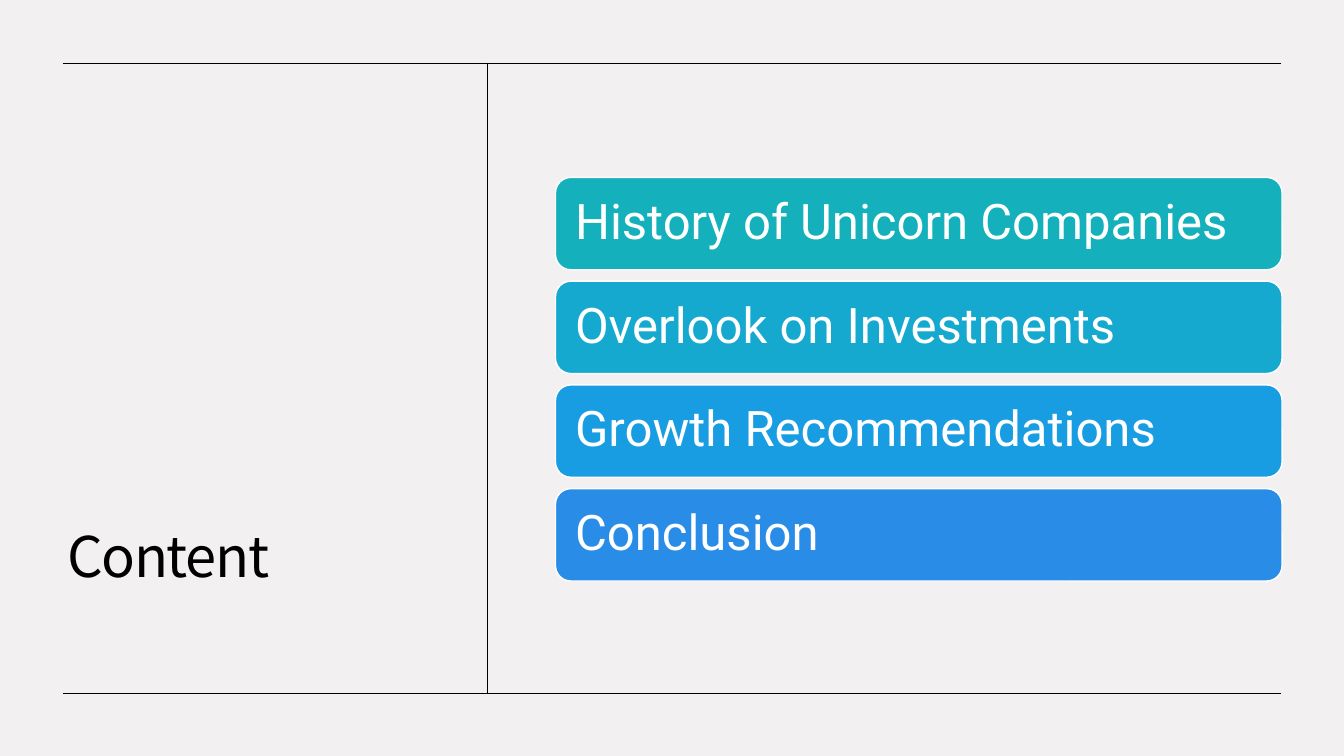
from lxml import etree
from pptx import Presentation
from pptx.dml.color import RGBColor
from pptx.enum.shapes import MSO_CONNECTOR, MSO_SHAPE
from pptx.enum.text import MSO_ANCHOR, PP_ALIGN
from pptx.oxml.ns import qn
from pptx.util import Inches, Pt

COLORS = {
    "background": "F3F0F1", "ink": "000000", "white": "FFFFFF",
    "teal": "14B1BC", "cyan": "16A9CF", "sky": "199DE2", "blue": "298CE7",
}
COLUMNS, ROWS = 64, 36


def color(name):
    return RGBColor.from_string(COLORS[name])


class AgendaSlide:
    """Holds the style and the slide; lengths are grid columns and rows."""

    frame_format = {"word_wrap": True, "margin_top": Inches(0.05),
                    "margin_bottom": Inches(0.05)}
    title_font = {"name": "Noto Sans CJK KR", "size": Pt(40)}
    topic_font = {"name": "Roboto", "size": Pt(35)}

    def __init__(self, deck):
        self.column = deck.slide_width / COLUMNS
        self.row = deck.slide_height / ROWS
        self.page = deck.slides.add_slide(deck.slide_layouts[6])
        self.page.background.fill.solid()
        self.page.background.fill.fore_color.rgb = color("background")

    def place(self, *lengths):
        units = (self.column, self.row) * 2
        return [round(length * unit) for length, unit in zip(lengths, units)]

    def add_text(self, box, text, font, ink, anchor, inset):
        frame = box.text_frame
        settings = {**self.frame_format, "vertical_anchor": anchor,
                    "margin_left": inset, "margin_right": inset}
        for name, value in settings.items():
            setattr(frame, name, value)
        para = frame.paragraphs[0]
        para.alignment, para.line_spacing = PP_ALIGN.LEFT, 0.9
        span = para.add_run()
        span.text = text
        for name, value in font.items():
            setattr(span.font, name, value)
        span.font.color.rgb = color(ink)
        return span

    def title(self, text, *area):
        box = self.page.shapes.add_textbox(*self.place(*area))
        span = self.add_text(box, text, self.title_font, "ink",
                             MSO_ANCHOR.BOTTOM, Inches(0.1))
        span.font._element.set("spc", "-100")  # tighter letters

    def rule(self, *ends):
        line = self.page.shapes.add_connector(
            MSO_CONNECTOR.STRAIGHT, *self.place(*ends))
        line.line.color.rgb = color("ink")
        line.line.width = Pt(0.5)
        etree.SubElement(line._element.spPr, qn("a:effectLst"))

    def topic(self, text, fill, *area):
        box = self.page.shapes.add_shape(
            MSO_SHAPE.ROUNDED_RECTANGLE, *self.place(*area))
        box.shadow.inherit = False
        box.fill.solid()
        box.fill.fore_color.rgb = color(fill)
        box.line.color.rgb = color("white")
        box.line.width = Pt(1)
        self.add_text(box, text, self.topic_font, "white",
                      MSO_ANCHOR.MIDDLE, Inches(0.15))


deck = Presentation()
deck.slide_width, deck.slide_height = Inches(13.33), Inches(7.5)
agenda = AgendaSlide(deck)

# Title in the left column
agenda.title("Content", 2.74, 4.75, 18.4, 23.57)

# Frame rules and the divider
left, right, top, bottom, divider = 3, 61, 3, 33, 23.2
for level in (bottom, top):
    agenda.rule(left, level, right, level)
agenda.rule(divider, top, divider, bottom)

# Topics, evenly stacked
topics = {
    "History of Unicorn Companies": "teal",
    "Overlook on Investments": "cyan",
    "Growth Recommendations": "sky",
    "Conclusion": "blue",
}
first_row, pitch = 8.45, 4.94
for index, (text, fill) in enumerate(topics.items()):
    agenda.topic(text, fill, 26.45, first_row + index * pitch, 34.6, 4.4)

deck.save("out.pptx")
